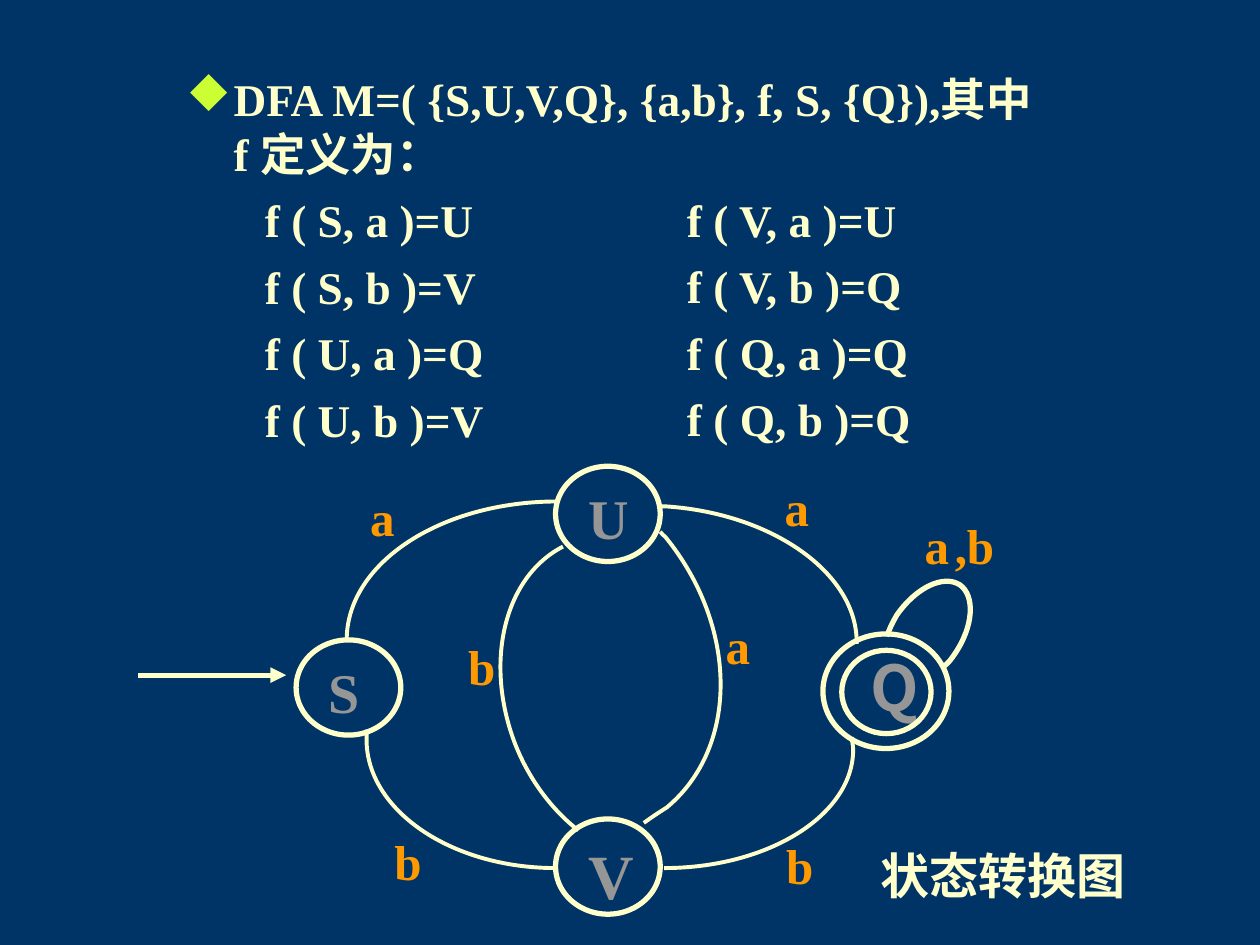
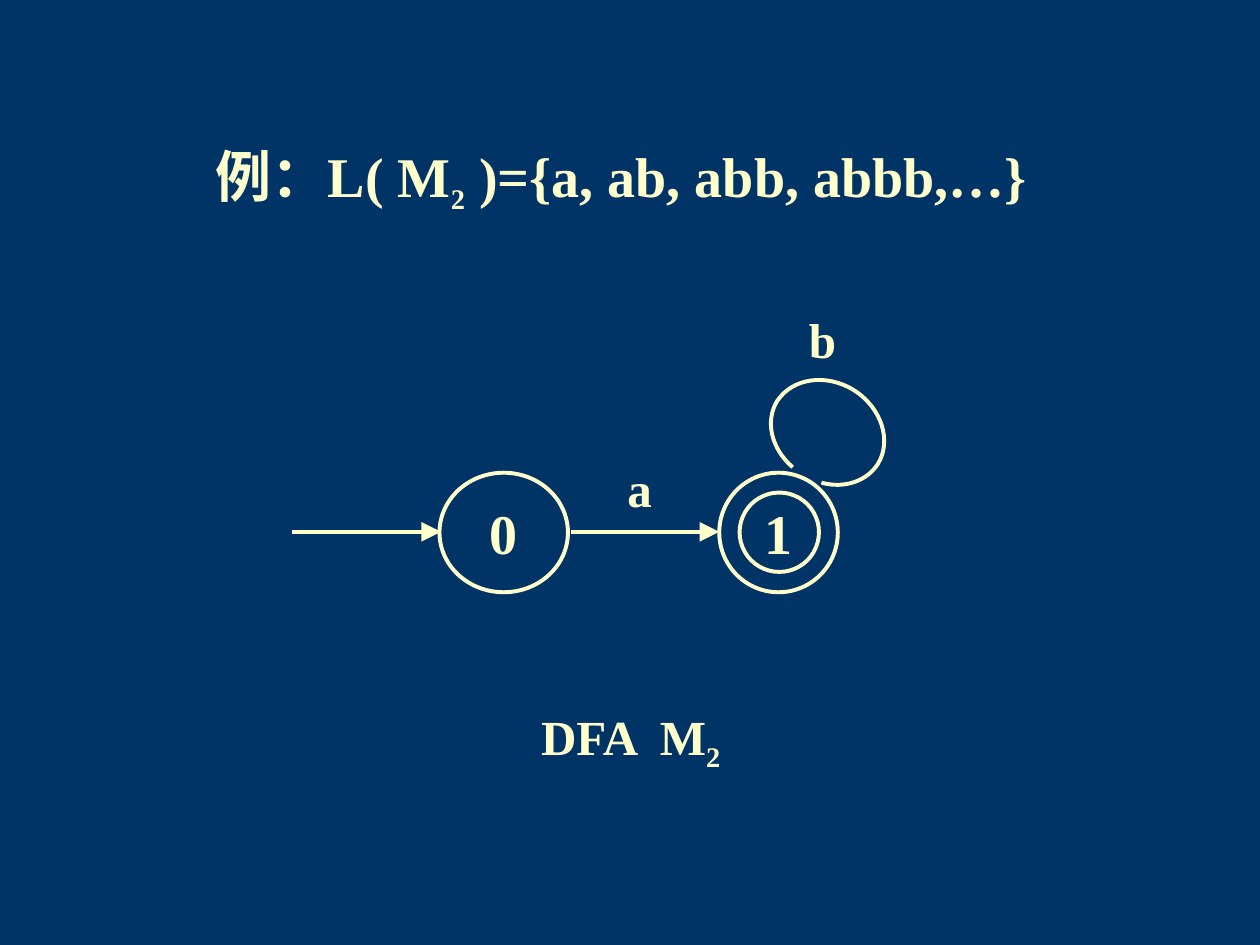
"""Build two slides on deterministic finite automata and their state diagrams."""
import lxml.etree
import pptx
import pptx.dml.color
import pptx.enum.shapes
import pptx.enum.text
import pptx.oxml.ns
import pptx.util

Cm = pptx.util.Cm
Pt = pptx.util.Pt
qn = pptx.oxml.ns.qn
LEFT = pptx.enum.text.PP_ALIGN.LEFT
CENTER = pptx.enum.text.PP_ALIGN.CENTER

COLOURS = {"back": "003366", "cream": "FFFFCC", "state": "969696",
           "edge": "FF9900", "bullet": "CCFF33"}
SERIF = "Times New Roman"
SANS = "Noto Sans CJK SC"

DEFINITION = "DFA M=( {S,U,V,Q}, {a,b}, f, S, {Q}),其中 f 定义为："
LEFT_COLUMN = ["f ( S, a )=U", "f ( S, b )=V", "f ( U, a )=Q", "f ( U, b )=V"]
RIGHT_COLUMN = ["f ( V, a )=U", "f ( V, b )=Q", "f ( Q, a )=Q", "f ( Q, b )=Q"]

EDGES = {
    "S to U": [(11.23, 10.11), (8.89, 10.11), (6.99, 11.35), (6.99, 12.9)],
    "S to V": [(11.2, 17.5), (9.09, 17.5), (7.39, 16.33), (7.39, 14.91),
               (7.39, 14.83), (7.39, 14.78), (7.39, 14.71)],
    "V to Q": [(13.39, 17.5), (15.49, 17.5), (17.2, 16.43), (17.2, 15.11),
               (17.2, 15.01), (17.17, 14.94), (17.17, 14.86)],
    "U to Q": [(13.28, 10.21), (13.34, 10.21), (13.39, 10.21), (13.44, 10.21),
               (15.6, 10.36), (17.3, 11.58), (17.27, 12.98)],
    "U to V": [(11.35, 11.02), (10.16, 11.63), (9.75, 13.36), (10.39, 15.01),
               (10.67, 15.72), (11.13, 16.33), (11.66, 16.74)],
    "V to U": [(12.98, 16.59), (13.13, 16.48), (13.28, 16.38), (13.44, 16.28),
               (14.91, 15.06), (14.88, 12.62), (13.41, 10.82),
               (13.39, 10.8), (13.34, 10.77), (13.31, 10.72)],
}
LOOP_ON_Q = [(17.88, 12.83), (17.93, 12.67), (18.01, 12.52), (18.08, 12.4),
             (18.47, 11.84), (19.02, 11.58), (19.35, 11.79),
             (19.66, 12.01), (19.63, 12.62), (19.25, 13.18),
             (19.18, 13.28), (19.13, 13.36), (19.02, 13.44)]
LOOP_ON_1 = [(16.56, 9.73), (17.02, 9.86), (17.48, 9.7), (17.7, 9.35),
             (17.98, 8.89), (17.78, 8.23), (17.22, 7.87),
             (16.66, 7.52), (15.98, 7.62), (15.67, 8.08),
             (15.42, 8.48), (15.54, 9.04), (15.98, 9.42)]
EDGE_LABELS = [("a", 7.21, 9.7, 1.65), ("a", 15.57, 9.5, 1.47), ("a", 18.39, 10.26, 1.4),
               (",b", 18.87, 10.26, 1.55), ("b", 9.19, 12.7, 0.64), ("a", 14.38, 12.29, 1.07),
               ("b", 15.6, 16.71, 1.07), ("b", 7.7, 16.64, 1.07)]


def colour(name):
    """Return the named colour."""
    return pptx.dml.color.RGBColor.from_string(COLOURS[name])


def add_page(deck):
    """Add a blank page with the shared background."""
    page = deck.slides.add_slide(deck.slide_layouts[6])
    page.background.fill.solid()
    page.background.fill.fore_color.rgb = colour("back")
    return page


def add_span(para, text, size, ink="cream", face=SERIF, lowered=False):
    """Add one bold run, as a subscript if lowered."""
    span = para.add_run()
    span.text = text
    span.font.size = Pt(size)
    span.font.bold = True
    span.font.name = face
    span.font.color.rgb = colour(ink)
    properties = span.font._element
    lxml.etree.SubElement(properties, qn("a:ea")).set("typeface", SANS)
    if lowered:
        properties.set("baseline", "-25000")


def add_box(page, left, top, width, height):
    """Add an empty wrapping text box."""
    box = page.shapes.add_textbox(Cm(left), Cm(top), Cm(width), Cm(height))
    box.text_frame.word_wrap = True
    return box


def add_label(page, text, left, top, width, size=28, ink="cream", face=SERIF, align=LEFT):
    """Add a one-line label and return its paragraph."""
    box = add_box(page, left, top, width, size * 0.05)
    para = box.text_frame.paragraphs[0]
    para.alignment = align
    add_span(para, text, size, ink, face)
    return para


def draw_line(shape, weight):
    """Give a shape or connector the shared line colour."""
    shape.line.color.rgb = colour("cream")
    shape.line.width = Pt(weight)


def add_circle(page, left, top, width, height, weight):
    """Add an unfilled state circle."""
    circle = page.shapes.add_shape(pptx.enum.shapes.MSO_SHAPE.OVAL,
                                   Cm(left), Cm(top), Cm(width), Cm(height))
    circle.shadow.inherit = False
    circle.fill.background()
    draw_line(circle, weight)


def add_arrow(page, start, end, y, weight, head_size):
    """Add a horizontal arrow."""
    arrow = page.shapes.add_connector(pptx.enum.shapes.MSO_CONNECTOR.STRAIGHT,
                                      Cm(start), Cm(y), Cm(end), Cm(y))
    draw_line(arrow, weight)
    head = lxml.etree.SubElement(arrow.line._get_or_add_ln(), qn("a:tailEnd"))
    head.set("type", "triangle")
    head.set("w", head_size)
    head.set("len", head_size)
    lxml.etree.SubElement(arrow._element.spPr, qn("a:effectLst"))


def add_curve(page, controls, weight=2.25):
    """Add an open outline of chained cubic curves."""
    points = [(Cm(x), Cm(y)) for x, y in controls]
    builder = page.shapes.build_freeform(*points[0])
    builder.add_line_segments(points[1:], close=False)
    curve = builder.convert_to_shape()
    outline = next(curve._element.iter(qn("a:path")))
    segments = outline.findall(qn("a:lnTo"))
    for first in range(0, len(segments), 3):
        cubic = lxml.etree.SubElement(outline, qn("a:cubicBezTo"))
        for segment in segments[first:first + 3]:
            cubic.append(segment[0])
            outline.remove(segment)
    curve.shadow.inherit = False
    curve.fill.background()
    draw_line(curve, weight)


def add_bullet(para):
    """Give a paragraph a hanging diamond bullet."""
    properties = para._p.get_or_add_pPr()
    properties.set("marL", str(Cm(0.95)))
    properties.set("indent", str(Cm(-0.95)))
    ink = lxml.etree.SubElement(properties, qn("a:buClr"))
    lxml.etree.SubElement(ink, qn("a:srgbClr")).set("val", COLOURS["bullet"])
    font = lxml.etree.SubElement(properties, qn("a:buFont"))
    font.set("typeface", "Wingdings")
    font.set("charset", "2")
    lxml.etree.SubElement(properties, qn("a:buChar")).set("char", "u")


def add_transition(para, text, margin):
    """Fill a paragraph with one value of the transition function."""
    properties = para._p.get_or_add_pPr()
    properties.set("marL", str(Cm(margin)))
    properties.set("indent", "0")
    para.line_spacing = Pt(31)
    add_span(para, text, 25.9)


def add_definition(page):
    """Add the automaton's definition and its transition function."""
    frame = add_box(page, 3.51, 1.32, 17.6, 8).text_frame
    para = frame.paragraphs[0]
    add_bullet(para)
    para.line_spacing = Pt(31)
    add_span(para, DEFINITION, 25.9)
    for text in LEFT_COLUMN:
        para = frame.add_paragraph()
        para.space_before = Pt(7)
        add_transition(para, text, 1.58)
    frame = add_box(page, 13.6, 3.75, 7.5, 5.57).text_frame
    for row, text in enumerate(RIGHT_COLUMN):
        para = frame.add_paragraph() if row else frame.paragraphs[0]
        if row:
            para.space_before = Pt(7)
        add_transition(para, text, 0)


def build_definition_page(deck):
    """Build the page with the definition and its state diagram."""
    page = add_page(deck)
    add_definition(page)
    add_label(page, "状态转换图", 17.5, 16.92, 7.19)
    for name, left, top, size in [("U", 11.2, 9.4, 32), ("S", 5.97, 12.9, 32),
                                  ("V", 11.2, 16.51, 36)]:
        add_circle(page, left, top, 2.11, 1.92, 3)
        add_label(page, name, left + 0.41, top + 0.23, 1.27, size, "state")
    add_circle(page, 16.59, 12.78, 2.54, 2.31, 3)
    add_label(page, "Q", 17.3, 12.95, 1.27, 36, "state", SANS)
    add_circle(page, 16.97, 13.11, 1.8, 1.68, 3)
    add_arrow(page, 2.79, 5.77, 13.61, 3, "med")
    for controls in EDGES.values():
        add_curve(page, controls)
    add_curve(page, LOOP_ON_Q, 3)
    for text, left, top, width in EDGE_LABELS:
        align = CENTER if text == ",b" else LEFT
        add_label(page, text, left, top, width, ink="edge", align=align)


def build_example_page(deck):
    """Build the page with the example language and its automaton."""
    page = add_page(deck)
    title = add_label(page, "例：L( M", 4.1, 2.72, 19, 32)
    add_span(title, "2", 28, lowered=True)
    add_span(title, " )={a, ab, abb, abbb,…}", 32)
    caption = add_label(page, "DFA  M", 10.11, 14.12, 5.21, align=CENTER)
    add_span(caption, "2", 28, lowered=True)
    for name, left, width in [("0", 8.86, 2.59), ("1", 14.5, 2.39)]:
        add_circle(page, left, 9.53, width, 2.41, 2.25)
        add_label(page, name, left, 9.93, width, 32, align=CENTER)
    add_circle(page, 14.91, 9.93, 1.6, 1.6, 2.25)
    for start, end in [(5.89, 8.89), (11.51, 14.5)]:
        add_arrow(page, start, end, 10.72, 2.25, "lg")
    add_curve(page, LOOP_ON_1)
    for text, left, top, width in [("a", 11.89, 9.12, 2.01), ("b", 14.88, 6.12, 3.4)]:
        add_label(page, text, left, top, width, align=CENTER)


def main():
    """Build and save the deck."""
    deck = pptx.Presentation()
    deck.slide_width, deck.slide_height = Cm(25.4), Cm(19.05)
    build_definition_page(deck)
    build_example_page(deck)
    deck.save("out.pptx")


if __name__ == "__main__":
    main()
